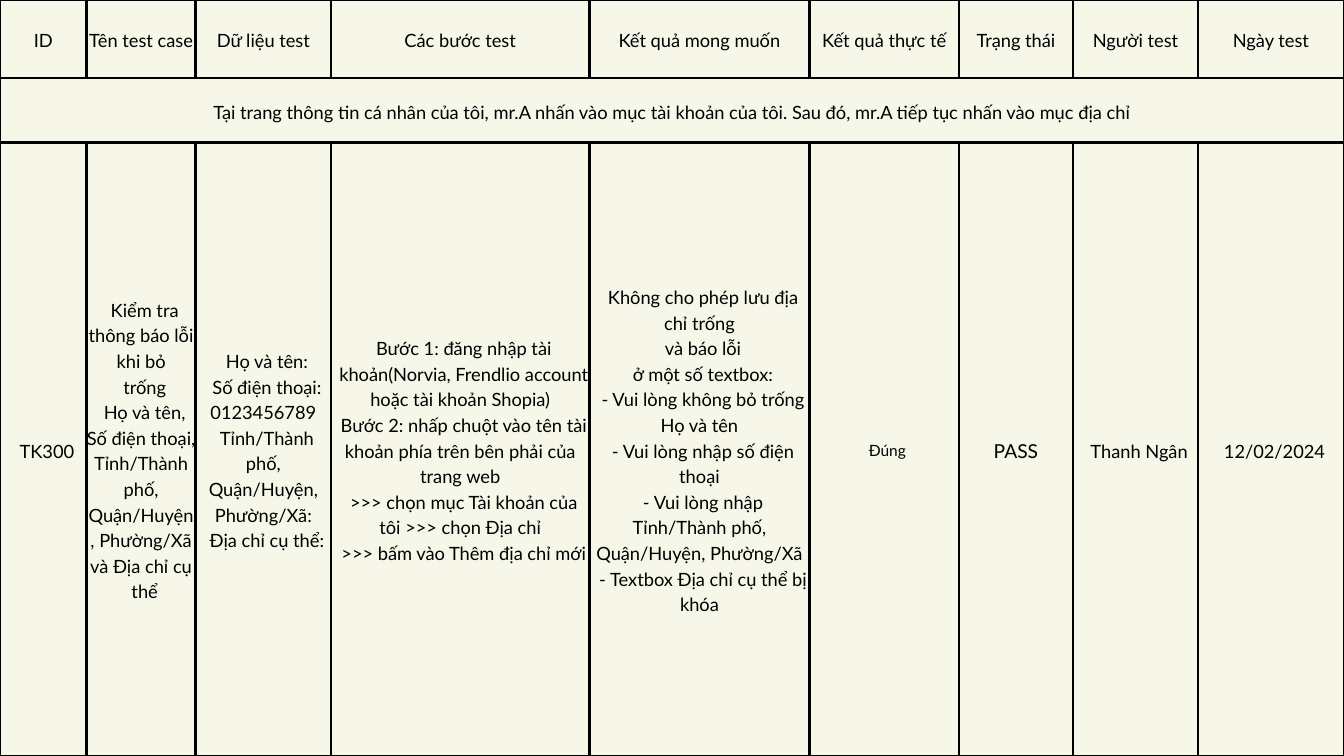
from pptx import Presentation
from pptx.dml.color import RGBColor
from pptx.enum.text import MSO_ANCHOR, PP_ALIGN
from pptx.oxml import parse_xml
from pptx.oxml.ns import nsdecls
from pptx.util import Pt

CREAM = RGBColor(0xF6, 0xF6, 0xE9)
BLACK = RGBColor(0, 0, 0)

WIDTH, HEIGHT = 1440, 810
COLUMN_WIDTHS = [92.88, 116.64, 145.44, 276.48, 236.16, 159.84, 122.4, 133.92, 156.24]
ROW_HEIGHTS = [83.52, 69.12, 657.36]

HEADINGS = [
    "ID", "Tên test case", "Dữ liệu test", "Các bước test", "Kết quả mong muốn",
    "Kết quả thực tế", "Trạng thái", "Người test", "Ngày test",
]
SCENARIO = (
    "Tại trang thông tin cá nhân của tôi, mr.A nhấn vào mục tài khoản của tôi. "
    "Sau đó, mr.A tiếp tục nhấn vào mục địa chỉ"
)
TEST_CASE = [
    ["TK300"],
    [
        "Kiểm tra thông báo lỗi khi bỏ",
        "trống",
        "Họ và tên, Số điện thoại, Tỉnh/Thành phố, Quận/Huyện, Phường/Xã và Địa chỉ cụ",
        "thể",
    ],
    [
        "Họ và tên:",
        "Số điện thoại: 0123456789",
        "Tỉnh/Thành phố, Quận/Huyện, Phường/Xã:",
        "Địa chỉ cụ thể:",
    ],
    [
        "Bước 1: đăng nhập tài",
        "khoản(Norvia, Frendlio account hoặc tài khoản Shopia)",
        "Bước 2: nhấp chuột vào tên tài khoản phía trên bên phải của trang web",
        ">>> chọn mục Tài khoản của tôi >>> chọn Địa chỉ",
        ">>> bấm vào Thêm địa chỉ mới",
    ],
    [
        "Không cho phép lưu địa chỉ trống",
        "và báo lỗi",
        "ở một số textbox:",
        "- Vui lòng không bỏ trống Họ và tên",
        "- Vui lòng nhập số điện thoại",
        "- Vui lòng nhập Tỉnh/Thành phố, Quận/Huyện, Phường/Xã",
        "- Textbox Địa chỉ cụ thể bị khóa",
    ],
    ["Đúng"],
    ["PASS"],
    ["Thanh Ngân"],
    ["12/02/2024"],
]
ACTUAL_RESULT, STATUS = 5, 6


class TestSheet:
    font = "Lato"
    text_size = 19.6
    line_ratio = 1.4
    indent_ratio = 0.39
    border_width = 3

    def __init__(self, slide):
        self.slide = slide
        slide.background.fill.solid()
        slide.background.fill.fore_color.rgb = CREAM

    def table(self, column_widths, row_heights):
        frame = self.slide.shapes.add_table(
            len(row_heights), len(column_widths), 0, 0, Pt(WIDTH), Pt(HEIGHT)
        )
        grid = frame.table
        grid.first_row = grid.horz_banding = False
        for column, width in zip(grid.columns, column_widths):
            column.width = Pt(width)
        for row, height in zip(grid.rows, row_heights):
            row.height = Pt(height)
        for cell in grid.iter_cells():
            self.borders(cell)
            cell.fill.background()
            cell.vertical_anchor = MSO_ANCHOR.MIDDLE
            cell.margin_left = cell.margin_right = 0
            cell.margin_top = cell.margin_bottom = 0
        return grid

    def borders(self, cell):
        properties = cell._tc.get_or_add_tcPr()
        for side in "LRTB":
            properties.append(parse_xml(
                f'<a:ln{side} {nsdecls("a")} w="{Pt(self.border_width)}">'
                f'<a:solidFill><a:srgbClr val="{BLACK}"/></a:solidFill></a:ln{side}>'
            ))

    def cell_text(self, cell, lines, size=text_size, indented=False):
        cell.text_frame.text = "\n".join(lines)
        for paragraph in cell.text_frame.paragraphs:
            paragraph.alignment = PP_ALIGN.CENTER
            paragraph.line_spacing = Pt(round(size * self.line_ratio, 1))
            if indented:
                indent = Pt(size * self.indent_ratio)
                paragraph._p.get_or_add_pPr().set("indent", str(indent))
            for run in paragraph.runs:
                run.font.name = self.font
                run.font.size = Pt(size)
                run.font.color.rgb = BLACK


def main():
    presentation = Presentation()
    presentation.slide_width = Pt(WIDTH)
    presentation.slide_height = Pt(HEIGHT)
    sheet = TestSheet(presentation.slides.add_slide(presentation.slide_layouts[6]))

    test_table = sheet.table(COLUMN_WIDTHS, ROW_HEIGHTS)
    for column, heading in enumerate(HEADINGS):
        sheet.cell_text(test_table.cell(0, column), [heading])

    scenario_cell = test_table.cell(1, 0)
    scenario_cell.merge(test_table.cell(1, len(HEADINGS) - 1))
    sheet.cell_text(scenario_cell, [SCENARIO])

    special_sizes = {ACTUAL_RESULT: 16.6, STATUS: 20.6}
    for column, lines in enumerate(TEST_CASE):
        size = special_sizes.get(column, sheet.text_size)
        sheet.cell_text(test_table.cell(2, column), lines, size, indented=column != STATUS)

    presentation.save("out.pptx")


if __name__ == "__main__":
    main()
